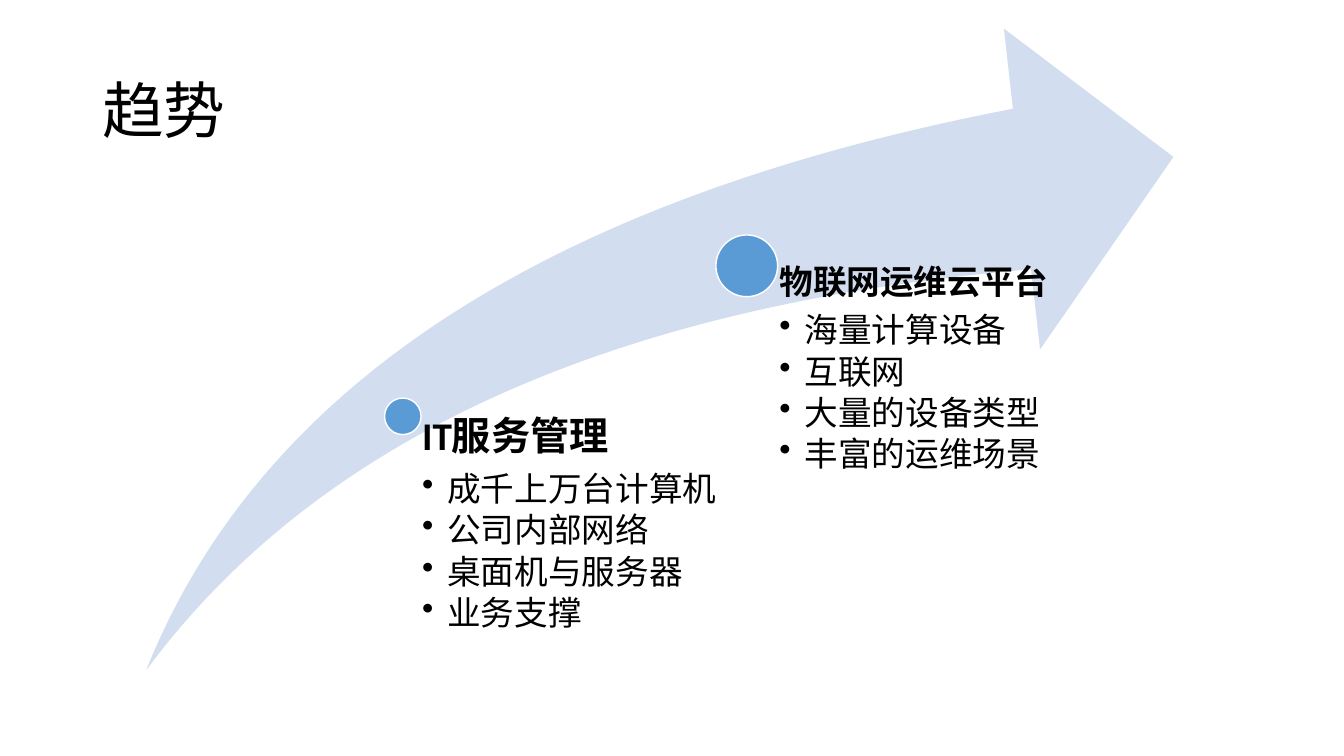
from lxml import etree
from pptx import Presentation
from pptx.dml.color import RGBColor
from pptx.enum.shapes import MSO_SHAPE
from pptx.enum.text import MSO_ANCHOR
from pptx.oxml.ns import qn
from pptx.util import Inches, Pt

SWOOSH, OVAL = MSO_SHAPE.SWOOSH_ARROW, MSO_SHAPE.OVAL
TOP, MIDDLE = MSO_ANCHOR.TOP, MSO_ANCHOR.MIDDLE
COLORS = {"text": "000000", "arrow": "D2DEEF", "dot": "5B9BD5", "rim": "FFFFFF"}
STAGES = [
    (47.95, 49.56, 4.35, 28, "IT服务管理",
     ["成千上万台计算机", "公司内部网络", "桌面机与服务器", "业务支撑"]),
    (88.9, 31.65, 7.35, 24, "物联网运维云平台",
     ["海量计算设备", "互联网", "大量的设备类型", "丰富的运维场景"]),
]
STAGE_WIDTH, STAGE_BOTTOM = 39.7, 82.2


class Deck:
    """Holds the style and the current slide, measured on a 160 by 90 grid."""

    font, columns, rows, indent = "Calibri", 160, 90, Inches(0.25)

    def __init__(self):
        self.prs = Presentation()
        self.prs.slide_width, self.prs.slide_height = Inches(13.33), Inches(7.5)
        self.s = self.prs.slides.add_slide(self.prs.slide_layouts[6])

    def x(self, n):
        return round(self.prs.slide_width * n / self.columns)

    def y(self, n):
        return round(self.prs.slide_height * n / self.rows)

    def box(self, left, top, width, height):
        return self.x(left), self.y(top), self.x(width), self.y(height)

    def color(self, name):
        return RGBColor.from_string(COLORS[name])

    def shape(self, kind, at, fill, line=None):
        sp = self.s.shapes.add_shape(kind, *self.box(*at))
        sp.shadow.inherit = False
        sp.fill.solid()
        sp.fill.fore_color.rgb = self.color(fill)
        if line:
            sp.line.color.rgb = self.color(line)
            sp.line.width = Pt(1)
        else:
            sp.line.fill.background()
        return sp

    def text_box(self, at, anchor=TOP):
        tf = self.s.shapes.add_textbox(*self.box(*at)).text_frame
        tf.word_wrap = True
        tf.vertical_anchor = anchor
        return tf

    def paragraph(self, p, text, size, bold=False, after=0, bullet=False):
        p.text = text
        p.line_spacing = 0.9
        pPr = p._p.get_or_add_pPr()
        spacing = etree.SubElement(pPr, qn("a:spcAft"))
        etree.SubElement(spacing, qn("a:spcPct")).set("val", str(after * 1000))
        if bullet:
            p.level = 1
            pPr.set("marL", str(self.indent))
            pPr.set("indent", str(-self.indent))
            etree.SubElement(pPr, qn("a:buChar")).set("char", "•")
        for r in p.runs:
            r.font.name, r.font.size, r.font.bold = self.font, Pt(size), bold
            r.font.color.rgb = self.color("text")

    def title(self, text, at):
        self.paragraph(self.text_box(at, MIDDLE).paragraphs[0], text, 44)

    def arrow(self, at):
        sp = self.shape(SWOOSH, at, "arrow")
        sp.adjustments[0] = sp.adjustments[1] = 0.25

    def stage(self, x, y, dot, size, heading, items):
        self.shape(OVAL, (x - dot / 2, y - dot / 2, dot, dot), "dot", "rim")
        tf = self.text_box((x, y, STAGE_WIDTH, STAGE_BOTTOM - y))
        tf.margin_left = self.x(dot * 0.53)
        tf.margin_top = tf.margin_right = tf.margin_bottom = 0
        self.paragraph(tf.paragraphs[0], heading, size, bold=True, after=35)
        for item in items:
            self.paragraph(tf.add_paragraph(), item, 24, after=15, bullet=True)


def main():
    deck = Deck()
    deck.title("趋势", (11, 4.8, 138, 17.4))
    deck.arrow((17.4, 3.4, 122.3, 76.4))
    for stage in STAGES:
        deck.stage(*stage)
    deck.prs.save("out.pptx")


if __name__ == "__main__":
    main()
